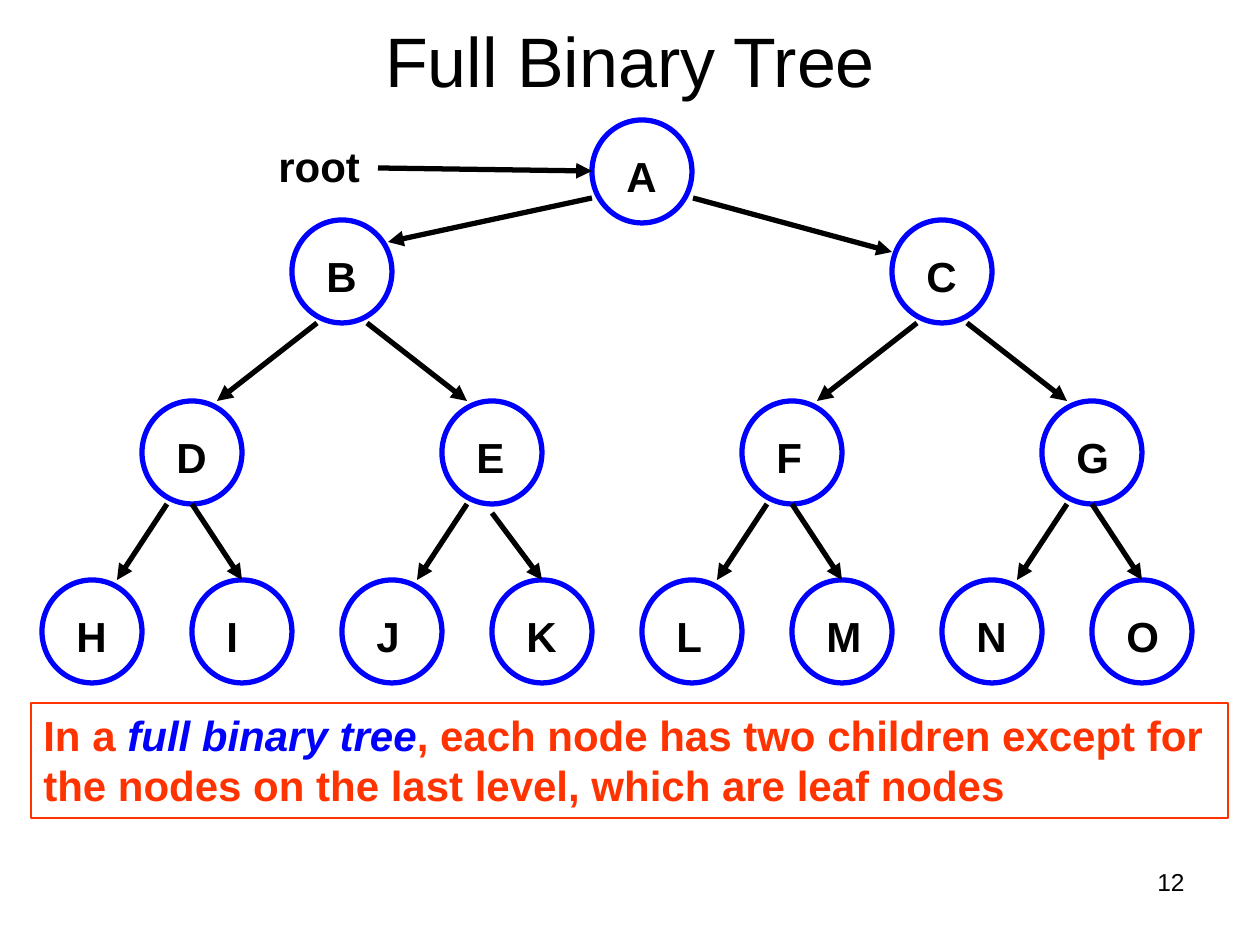
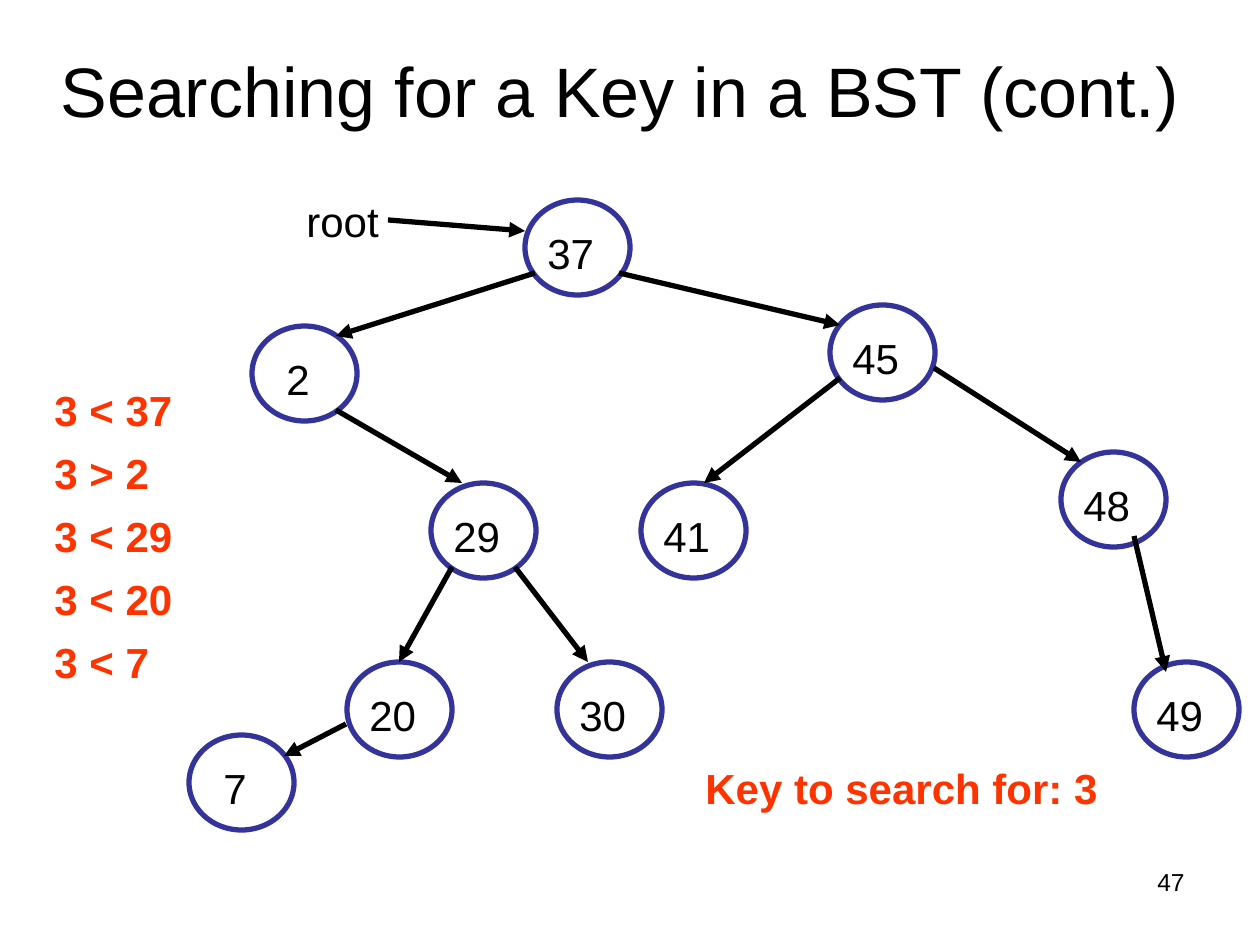
"""Build two slides on binary trees: a full tree and a key search."""
from dataclasses import dataclass

from lxml.etree import SubElement
from pptx import Presentation
from pptx.dml.color import RGBColor as Rgb
from pptx.enum.shapes import MSO_CONNECTOR as Conn, MSO_SHAPE as Kind
from pptx.enum.text import MSO_ANCHOR as Anchor, PP_ALIGN as Align
from pptx.oxml.ns import qn
from pptx.util import Emu, Pt


@dataclass(frozen=True)
class Theme:
    font: str = "Arial"
    ink: str = "000000"
    paper: str = "FFFFFF"
    blue: str = "0000FF"
    navy: str = "333399"
    red: str = "FF3300"
    head: int = 40
    body: int = 24
    foot: int = 14
    thick: float = 3
    thin: float = 0.75


THEME = Theme()
SCALE = 914400 / 126

LEVELS = [
    ("A", 592, 0, 120),
    ("BC", 292, 600, 220),
    ("DEFG", 142, 300, 401),
    ("HIJKLMNO", 42, 150, 580),
]

KEYS = {
    "37": (525, 200), "2": (252, 326), "45": (830, 305), "48": (1061, 452),
    "41": (641, 483), "29": (431, 483), "20": (347, 662), "30": (557, 662),
    "49": (1134, 662), "7": (189, 735),
}

LINKS = [
    (388, 220, 525, 231), (535, 273, 336, 336), (619, 273, 840, 325),
    (934, 368, 1081, 462), (840, 378, 704, 483), (336, 410, 462, 483),
    (452, 567, 399, 662), (515, 567, 588, 662), (1134, 536, 1166, 672),
    (346, 724, 284, 756),
]

STEPS = ["3 < 37", "3 > 2", "3 < 29", "3 < 20", "3 < 7"]


def px(*vals):
    """Turn px lengths into EMU."""
    return [Emu(round(val * SCALE)) for val in vals]


def add_run(para, text, size=THEME.body, color=THEME.ink, bold=False, slant=False):
    """Add one styled run to a paragraph."""
    run = para.add_run()
    run.text = text
    font = run.font
    font.name, font.size = THEME.font, Pt(size)
    font.bold, font.italic = bold, slant
    font.color.rgb = Rgb.from_string(color)


def add_text(slide, box, text, align=Align.LEFT, anchor=Anchor.TOP, **style):
    """Add a text box holding one run."""
    frame = slide.shapes.add_textbox(*px(*box)).text_frame
    frame.word_wrap = True
    frame.vertical_anchor = anchor
    para = frame.paragraphs[0]
    para.alignment = align
    add_run(para, text, **style)


def add_shape(slide, kind, box, color, width, fill=None):
    """Add an outlined shape, hollow unless a fill is given."""
    shape = slide.shapes.add_shape(kind, *px(*box))
    shape.shadow.inherit = False
    if fill:
        shape.fill.solid()
        shape.fill.fore_color.rgb = Rgb.from_string(fill)
    else:
        shape.fill.background()
    shape.line.color.rgb = Rgb.from_string(color)
    shape.line.width = Pt(width)
    return shape


def add_arrow(slide, *ends):
    """Add a black line with a head at its end."""
    link = slide.shapes.add_connector(Conn.STRAIGHT, *px(*ends))
    link.line.color.rgb = Rgb.from_string(THEME.ink)
    link.line.width = Pt(THEME.thick)
    SubElement(link.line._get_or_add_ln(), qn("a:tailEnd"), type="triangle")
    SubElement(link._element.spPr, qn("a:effectLst"))


def add_letter(slide, name, x, y):
    """Add a node of the full tree."""
    add_shape(slide, Kind.OVAL, (x, y, 100, 103), THEME.blue, THEME.thick, THEME.paper)
    add_text(slide, (x + 22, y + 24, 102, 102), name, bold=True)


def add_key(slide, name, x, y):
    """Add a node of the search tree."""
    add_shape(slide, Kind.OVAL, (x, y, 105, 95), THEME.navy, THEME.thick)
    shift = 12 if len(name) == 1 else 0
    add_text(slide, (x + 10 + shift, y + 21, 90, 63), name)


def add_page(deck, title, box, page):
    """Add a slide with its title and page number."""
    slide = deck.slides.add_slide(deck.slide_layouts[6])
    add_text(slide, box, title, Align.CENTER, Anchor.MIDDLE, size=THEME.head)
    add_text(slide, (903, 861, 294, 65), page, Align.RIGHT, size=THEME.foot)
    return slide


def full_tree(deck):
    """Build the full tree slide."""
    slide = add_page(deck, "Full Binary Tree", (63, 10, 1134, 98), "12")
    for names, left, step, top in LEVELS:
        for i, name in enumerate(names):
            add_letter(slide, name, left + i * step, top)

    add_text(slide, (266, 134, 150, 77), "root", bold=True)
    add_arrow(slide, 378, 168, 592, 171)
    add_arrow(slide, 592, 198, 388, 242)
    add_arrow(slide, 693, 198, 892, 252)
    for upper, lower, out, into in ((1, 2, 75, 25), (2, 3, 50, 50)):
        names, left, step, top = LEVELS[upper]
        _, start, gap, base = LEVELS[lower]
        for i, name in enumerate(names):
            x, child = left + i * step, start + 2 * i * gap
            drop = 9 if name == "E" else 0
            add_arrow(slide, x + 25, top + 103, child + 75, base)
            add_arrow(slide, x + out, top + 103 + drop, child + gap + into, base)

    note = add_shape(slide, Kind.RECTANGLE, (31, 703, 1197, 115), THEME.red, THEME.thin)
    frame = note.text_frame
    frame.word_wrap = True
    frame.vertical_anchor = Anchor.TOP
    para = frame.paragraphs[0]
    para.alignment = Align.LEFT
    add_run(para, "In a ", color=THEME.red, bold=True)
    add_run(para, "full binary tree", color=THEME.blue, bold=True, slant=True)
    add_run(para, ", each node has two children except for the nodes on the last level, "
            "which are leaf nodes", color=THEME.red, bold=True)


def key_search(deck):
    """Build the key search slide."""
    slide = add_page(deck, "Searching for a Key in a BST (cont.)", (42, 10, 1155, 158), "47")
    add_text(slide, (294, 189, 230, 63), "root")
    for name, spot in KEYS.items():
        add_key(slide, name, *spot)
    for ends in LINKS:
        add_arrow(slide, *ends)
    for i, step in enumerate(STEPS):
        add_text(slide, (42, 378 + 63 * i, 284, 63), step, color=THEME.red, bold=True)
    add_text(slide, (693, 756, 473, 63), "Key to search for: 3", color=THEME.red, bold=True)


def main():
    """Build and save the deck."""
    deck = Presentation()
    deck.slide_width, deck.slide_height = px(1260, 945)
    full_tree(deck)
    key_search(deck)
    deck.save("out.pptx")


if __name__ == "__main__":
    main()
